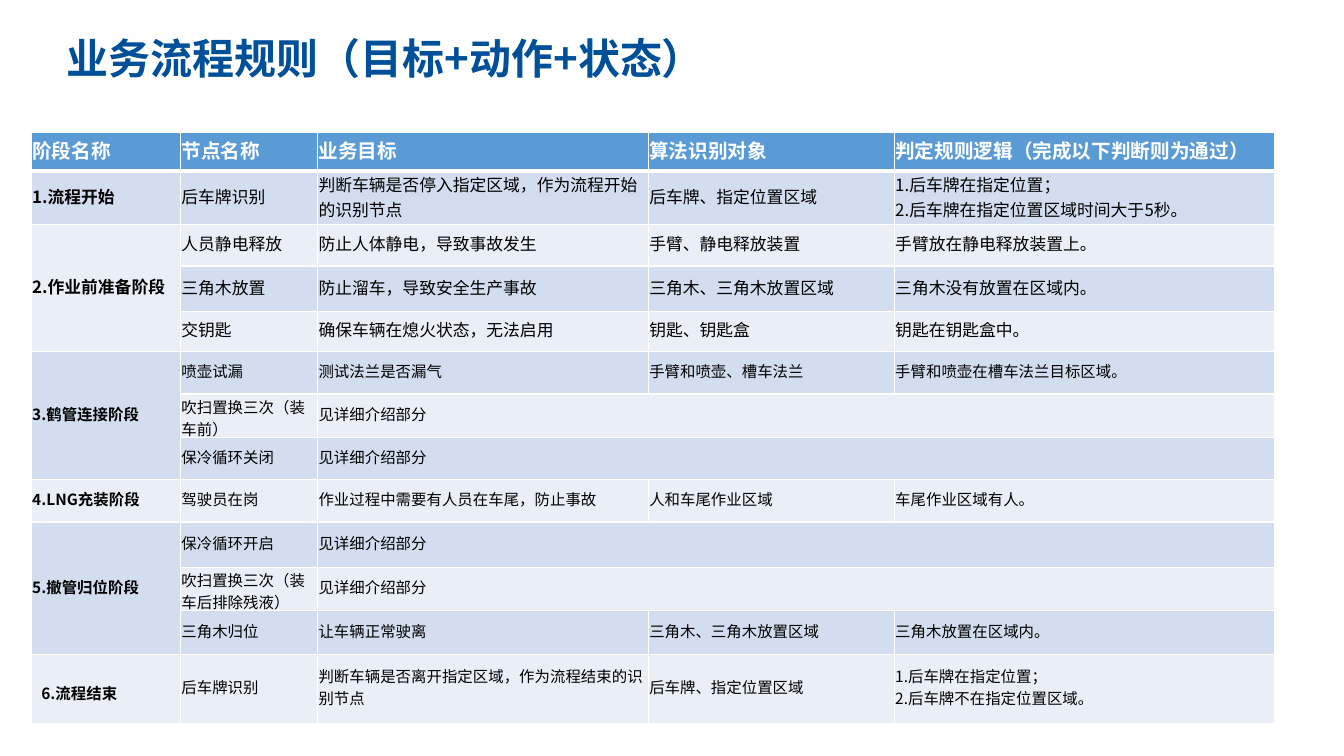
from lxml.etree import SubElement
from pptx import Presentation
from pptx.dml.color import RGBColor
from pptx.enum.text import MSO_ANCHOR
from pptx.oxml.ns import qn
from pptx.util import Emu, Pt

SCALE = 9144  # EMU in one px, 100 px to the inch
FONT = "Noto Sans CJK SC"
COLORS = {"title": "004F99", "head": "5B9BD5", "odd": "D2DEEF",
          "even": "EAEFF7", "white": "FFFFFF", "black": "000000"}

# Text formats
TITLE = {"size": Pt(30), "bold": True, "name": FONT}
HEAD = {"size": Pt(14), "bold": True, "name": FONT}
BODY = {"size": Pt(12), "bold": False, "name": FONT}
SMALL = BODY | {"size": Pt(11)}

# Cell formats
CELL = {"margin_left": 1, "margin_right": 1, "margin_top": 1, "margin_bottom": 5}
LAST = {"margin_left": 10, "margin_right": 10, "margin_top": 27, "margin_bottom": 5}

WIDTHS = [148, 136, 328, 244, 377]
HEIGHTS = [39, 53, 41, 45, 40, 42, 43, 42, 42, 45, 39, 44, 68]
DETAIL = "见详细介绍部分"

# An empty stage continues the one above; a short row spans to the right edge
ROWS = [
    ["阶段名称", "节点名称", "业务目标", "算法识别对象",
     "判定规则逻辑（完成以下判断则为通过）"],
    ["1.流程开始", "后车牌识别", "判断车辆是否停入指定区域，作为流程开始的识别节点",
     "后车牌、指定位置区域", "1.后车牌在指定位置；\n2.后车牌在指定位置区域时间大于5秒。"],
    ["2.作业前准备阶段", "人员静电释放", "防止人体静电，导致事故发生",
     "手臂、静电释放装置", "手臂放在静电释放装置上。"],
    ["", "三角木放置", "防止溜车，导致安全生产事故",
     "三角木、三角木放置区域", "三角木没有放置在区域内。"],
    ["", "交钥匙", "确保车辆在熄火状态，无法启用", "钥匙、钥匙盒", "钥匙在钥匙盒中。"],
    ["3.鹤管连接阶段", "喷壶试漏", "测试法兰是否漏气",
     "手臂和喷壶、槽车法兰", "手臂和喷壶在槽车法兰目标区域。"],
    ["", "吹扫置换三次（装车前）", DETAIL],
    ["", "保冷循环关闭", DETAIL],
    ["4.LNG充装阶段", "驾驶员在岗", "作业过程中需要有人员在车尾，防止事故",
     "人和车尾作业区域", "车尾作业区域有人。"],
    ["5.撤管归位阶段", "保冷循环开启", DETAIL],
    ["", "吹扫置换三次（装车后排除残液）", DETAIL],
    ["", "三角木归位", "让车辆正常驶离", "三角木、三角木放置区域", "三角木放置在区域内。"],
    ["6.流程结束", "后车牌识别", "判断车辆是否离开指定区域，作为流程结束的识别节点",
     "后车牌、指定位置区域", "1.后车牌在指定位置；\n2.后车牌不在指定位置区域。"],
]


def px(num):
    return Emu(num * SCALE)


def paint(fill, color):
    fill.solid()
    fill.fore_color.rgb = RGBColor.from_string(COLORS[color])


def write(frame, text, style, color):
    for num, line in enumerate(text.split("\n")):
        para = frame.add_paragraph() if num else frame.paragraphs[0]
        run = para.add_run()
        run.text = line
        for key, value in style.items():
            setattr(run.font, key, value)
        paint(run.font.fill, color)
        SubElement(run.font._element, qn("a:ea"), typeface=FONT)


def edge(cell, side, width):
    props = cell._tc.get_or_add_tcPr()
    line = SubElement(props, qn(f"a:ln{side}"), w=str(Pt(width)))
    fill = SubElement(line, qn("a:solidFill"))
    SubElement(fill, qn("a:srgbClr"), val=COLORS["white"])


def dress(cell, row, box):
    # Borders, thicker under the header
    for side in "LRTB":
        thick = (row, side) in [(0, "B"), (1, "T")]
        edge(cell, side, 3 if thick else 1)
    paint(cell.fill, "head" if row == 0 else "odd" if row % 2 else "even")
    for key, value in box.items():
        setattr(cell, key, px(value))
    cell.vertical_anchor = MSO_ANCHOR.TOP if box is LAST else MSO_ANCHOR.MIDDLE


def add_title(slide):
    frame = slide.shapes.add_textbox(px(56), px(19), px(1150), px(83)).text_frame
    frame.word_wrap = True
    frame.vertical_anchor = MSO_ANCHOR.MIDDLE
    write(frame, "业务流程规则（目标+动作+状态）", TITLE, "title")
    frame.paragraphs[0].line_spacing = 0.9


def add_rules(slide):
    rows, cols = len(ROWS), len(WIDTHS)
    table = slide.shapes.add_table(rows, cols, px(31), px(131),
                                   px(sum(WIDTHS)), px(sum(HEIGHTS))).table
    table.first_row = table.horz_banding = False
    for part, sizes, key in [(table.columns, WIDTHS, "width"),
                             (table.rows, HEIGHTS, "height")]:
        for item, size in zip(part, sizes):
            setattr(item, key, px(size))

    # Cells
    for row, texts in enumerate(ROWS):
        style = HEAD if row == 0 else BODY if row < 5 else SMALL
        color = "black" if row else "white"
        for col in range(cols):
            cell = table.cell(row, col)
            dress(cell, row, LAST if (row, col) == (rows - 1, 0) else CELL)
            if col < len(texts) and texts[col]:
                look = style | {"bold": row == 0 or col == 0}
                write(cell.text_frame, texts[col], look, color)

    # Merged cells
    starts = [row for row, texts in enumerate(ROWS) if texts[0]]
    for top, below in zip(starts, starts[1:] + [rows]):
        if below - top > 1:
            table.cell(top, 0).merge(table.cell(below - 1, 0))
    for row, texts in enumerate(ROWS):
        if len(texts) < cols:
            table.cell(row, len(texts) - 1).merge(table.cell(row, cols - 1))


def main():
    deck = Presentation()
    deck.slide_width, deck.slide_height = px(1333), px(750)
    slide = deck.slides.add_slide(deck.slide_layouts[6])
    add_title(slide)
    add_rules(slide)
    deck.save("out.pptx")


if __name__ == "__main__":
    main()
